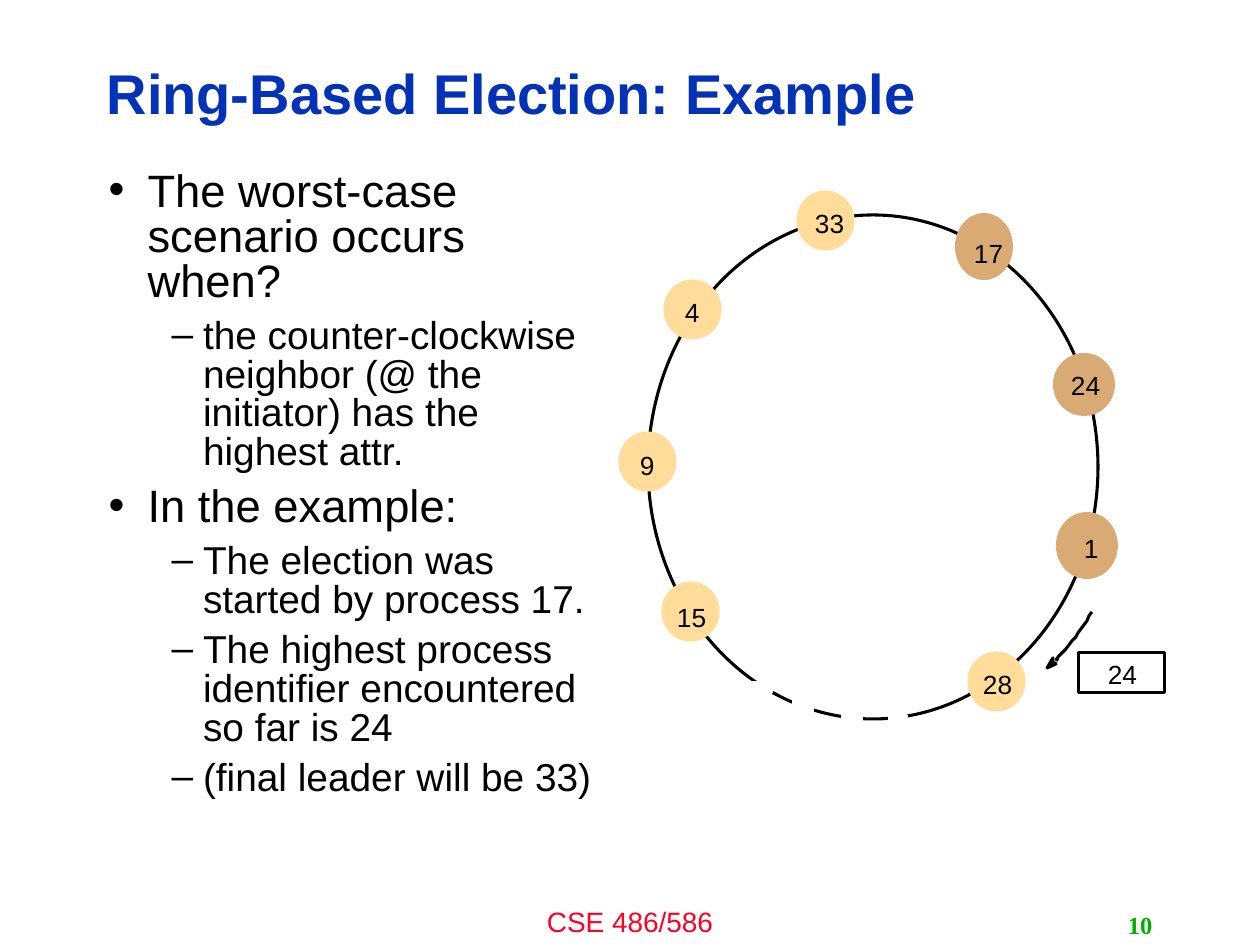
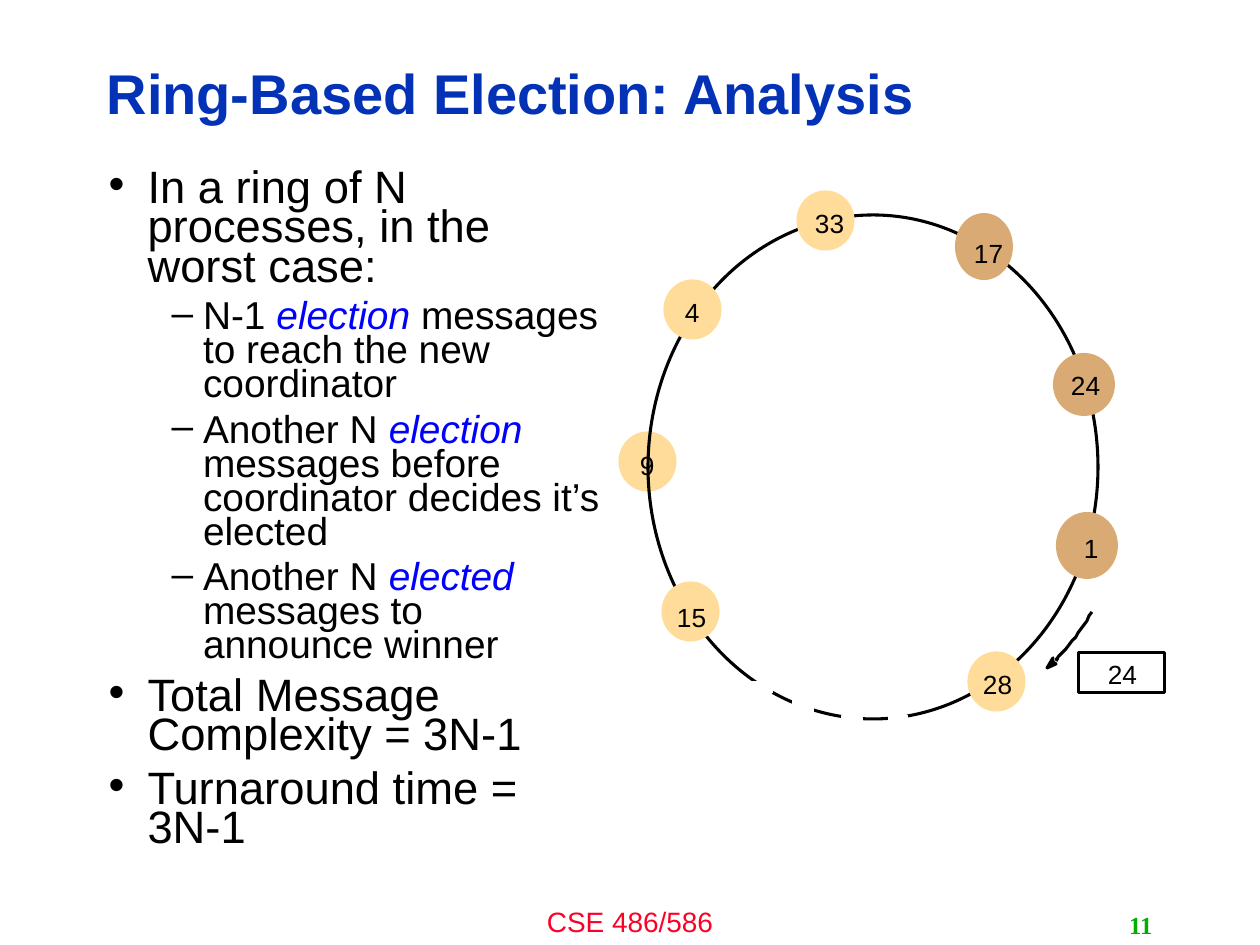
from dataclasses import dataclass

from lxml.etree import SubElement
from pptx import Presentation
from pptx.dml.color import RGBColor
from pptx.enum.shapes import MSO_CONNECTOR, MSO_SHAPE
from pptx.enum.text import MSO_ANCHOR, PP_ALIGN
from pptx.oxml.ns import qn
from pptx.util import Emu, Pt

PIXEL = 914400 // 126


@dataclass(frozen=True)
class Theme:
    sans: str = "Arial"
    serif: str = "Times New Roman"
    title: str = "0332B7"
    ink: str = "000000"
    paper: str = "FFFFFF"
    emphasis: str = "0000FF"
    footer: str = "FC0128"
    page: str = "00AE00"
    waiting: str = "FFDC99"
    visited: str = "D9AA73"
    title_size: float = 32
    level_sizes: tuple = (25.9, 22.2)
    footer_size: float = 16
    label_size: float = 15
    page_size: float = 14
    stroke: float = 1.75


THEME = Theme()
RING = (648, 215, 450, 504)
LEVELS = (("•", 39, -39), ("–", 94.5, -31.5))
PROCESSES = {
    "9": ((620, 433, 55, 57), (640, 449), THEME.waiting),
    "15": ((663, 583, 55, 57), (677, 601), THEME.waiting),
    "17": ((955, 213, 58, 67), (974, 237), THEME.visited),
    "4": ((665, 281, 55, 57), (685, 296), THEME.waiting),
    "33": ((798, 192, 55, 57), (815, 207), THEME.waiting),
    "28": ((969, 653, 55, 57), (983, 668), THEME.waiting),
    "24": ((1053, 353, 62, 63), (1071, 369), THEME.visited),
    "1": ((1056, 512, 62, 67), (1084, 532), THEME.visited),
}
GAPS = [(751, 683, 21, 10), (794, 699, 19, 14), (843, 716, 19, 7), (890, 716, 17, 10)]
MESSAGE = (1079, 653, 86, 40)
ARROW_CURVE = [(1092, 612), (1082, 630), (1070, 645), (1056, 660)]
ARROW_HEAD = [(1053, 662), (1056, 664), (1047, 668), (1053, 658)]

EXAMPLE = [
    (0, "The worst-case scenario occurs when?"),
    (1, "the counter-clockwise neighbor (@ the initiator) has the highest attr."),
    (0, "In the example:"),
    (1, "The election was started by process 17."),
    (1, "The highest process identifier encountered so far is 24"),
    (1, "(final leader will be 33)"),
]
ANALYSIS = [
    (0, "In a ring of N processes, in the worst case:"),
    (1, "N-1 *election* messages to reach the new coordinator"),
    (1, "Another N *election* messages before coordinator decides it’s elected"),
    (1, "Another N *elected *messages to announce winner"),
    (0, "Total Message Complexity = 3N-1"),
    (0, "Turnaround time = 3N-1"),
]


def px(length):
    return Emu(round(length * PIXEL))


def rgb(color):
    return RGBColor.from_string(color)


def space_before(paragraph, percent):
    spacing = SubElement(paragraph._p.get_or_add_pPr(), qn("a:spcBef"))
    SubElement(spacing, qn("a:spcPct")).set("val", str(percent * 1000))


def set_bullet(paragraph, level):
    mark, margin, indent = LEVELS[level]
    properties = paragraph._p.get_or_add_pPr()
    properties.set("marL", str(px(margin)))
    properties.set("indent", str(px(indent)))
    SubElement(properties, qn("a:buFont")).set("typeface", THEME.sans)
    SubElement(properties, qn("a:buChar")).set("char", mark)


def write(paragraph, text, size, color=THEME.ink, font=THEME.sans, bold=False):
    for position, part in enumerate(text.split("*")):
        emphasized = position % 2 == 1
        run = paragraph.add_run()
        run.text = part
        run.font.name = font
        run.font.size = Pt(size)
        run.font.bold = bold
        run.font.italic = emphasized
        run.font.color.rgb = rgb(THEME.emphasis if emphasized else color)


def add_text(slide, box, paragraphs, size=None, align=PP_ALIGN.LEFT,
             anchor=MSO_ANCHOR.TOP, inset=(12.6, 6.3), line_spacing=None,
             before=0, **style):
    frame = slide.shapes.add_textbox(*map(px, box)).text_frame
    frame.word_wrap = True
    frame.vertical_anchor = anchor
    frame.margin_left = frame.margin_right = px(inset[0])
    frame.margin_top = frame.margin_bottom = px(inset[1])
    for position, (level, text) in enumerate(paragraphs):
        paragraph = frame.add_paragraph() if position else frame.paragraphs[0]
        paragraph.alignment = align
        if line_spacing:
            paragraph.line_spacing = line_spacing
        if before:
            space_before(paragraph, before)
        if level is not None:
            set_bullet(paragraph, level)
        write(paragraph, text, size or THEME.level_sizes[level], **style)


def paint(shape, fill=None, line=None):
    shape.shadow.inherit = False
    if fill:
        shape.fill.solid()
        shape.fill.fore_color.rgb = rgb(fill)
    else:
        shape.fill.background()
    if line:
        shape.line.color.rgb = rgb(line)
        shape.line.width = Pt(THEME.stroke)
    else:
        shape.line.fill.background()


def add_preset(slide, preset, box, fill=None, line=None):
    paint(slide.shapes.add_shape(preset, *map(px, box)), fill, line)


def add_outline(slide, points, close, fill=None):
    builder = slide.shapes.build_freeform(*points[0], scale=PIXEL)
    builder.add_line_segments(points[1:], close=close)
    paint(builder.convert_to_shape(), fill, THEME.ink)


def bezier(controls, steps=12):
    weights = (1, 3, 3, 1)
    return [
        tuple(sum(w * (1 - t) ** (3 - k) * t ** k * point[axis]
                  for k, (w, point) in enumerate(zip(weights, controls)))
              for axis in (0, 1))
        for t in (step / steps for step in range(steps + 1))
    ]


def add_line(slide, start, end):
    line = slide.shapes.add_connector(MSO_CONNECTOR.STRAIGHT, *map(px, start + end))
    line.line.color.rgb = rgb(THEME.ink)
    line.line.width = Pt(THEME.stroke)
    SubElement(line._element.spPr, qn("a:effectLst"))


def add_process(slide, number):
    box, _, color = PROCESSES[number]
    outline = color if color == THEME.waiting else None
    add_preset(slide, MSO_SHAPE.OVAL, box, color, outline)


def add_label(slide, number, corner):
    add_text(slide, (*corner, 12 + 13 * len(number), 40), [(None, number)],
             size=THEME.label_size, inset=(0, 0), before=50)


def add_message(slide):
    add_preset(slide, MSO_SHAPE.RECTANGLE, MESSAGE, THEME.paper, THEME.ink)
    add_outline(slide, bezier(ARROW_CURVE), close=False)
    add_outline(slide, ARROW_HEAD, close=True, fill=THEME.ink)
    add_line(slide, (1058, 658), (1056, 661))
    add_label(slide, "24", (1108, 658))


def add_ring(slide, behind=()):
    for number in behind:
        add_process(slide, number)
    add_preset(slide, MSO_SHAPE.OVAL, RING, line=THEME.ink)
    for gap in GAPS:
        add_preset(slide, MSO_SHAPE.RECTANGLE, gap, THEME.paper, THEME.paper)
    add_message(slide)
    for number, (_, corner, _) in PROCESSES.items():
        if number not in behind:
            add_process(slide, number)
        add_label(slide, number, corner)


def add_election_slide(deck, title, points, page, line_spacing, behind=()):
    slide = deck.slides.add_slide(deck.slide_layouts[6])
    add_text(slide, (420, 898, 420, 47), [(None, "CSE 486/586")],
             size=THEME.footer_size, color=THEME.footer,
             align=PP_ALIGN.CENTER, before=50)
    add_text(slide, (94, 45, 1006, 102), [(None, title)],
             size=THEME.title_size, color=THEME.title, bold=True,
             anchor=MSO_ANCHOR.MIDDLE, line_spacing=0.9)
    add_text(slide, (96, 165, 519, 679), points,
             line_spacing=line_spacing, before=30)
    add_text(slide, (903, 905, 262, 40), [(None, str(page))],
             size=THEME.page_size, color=THEME.page, font=THEME.serif, bold=True,
             align=PP_ALIGN.RIGHT, anchor=MSO_ANCHOR.MIDDLE)
    add_ring(slide, behind)


def main():
    deck = Presentation()
    deck.slide_width, deck.slide_height = px(1260), px(945)
    add_election_slide(deck, "Ring-Based Election: Example", EXAMPLE, 10, 0.83)
    add_election_slide(deck, "Ring-Based Election: Analysis", ANALYSIS, 11, 0.73,
                       behind=("9",))
    deck.save("out.pptx")


main()
